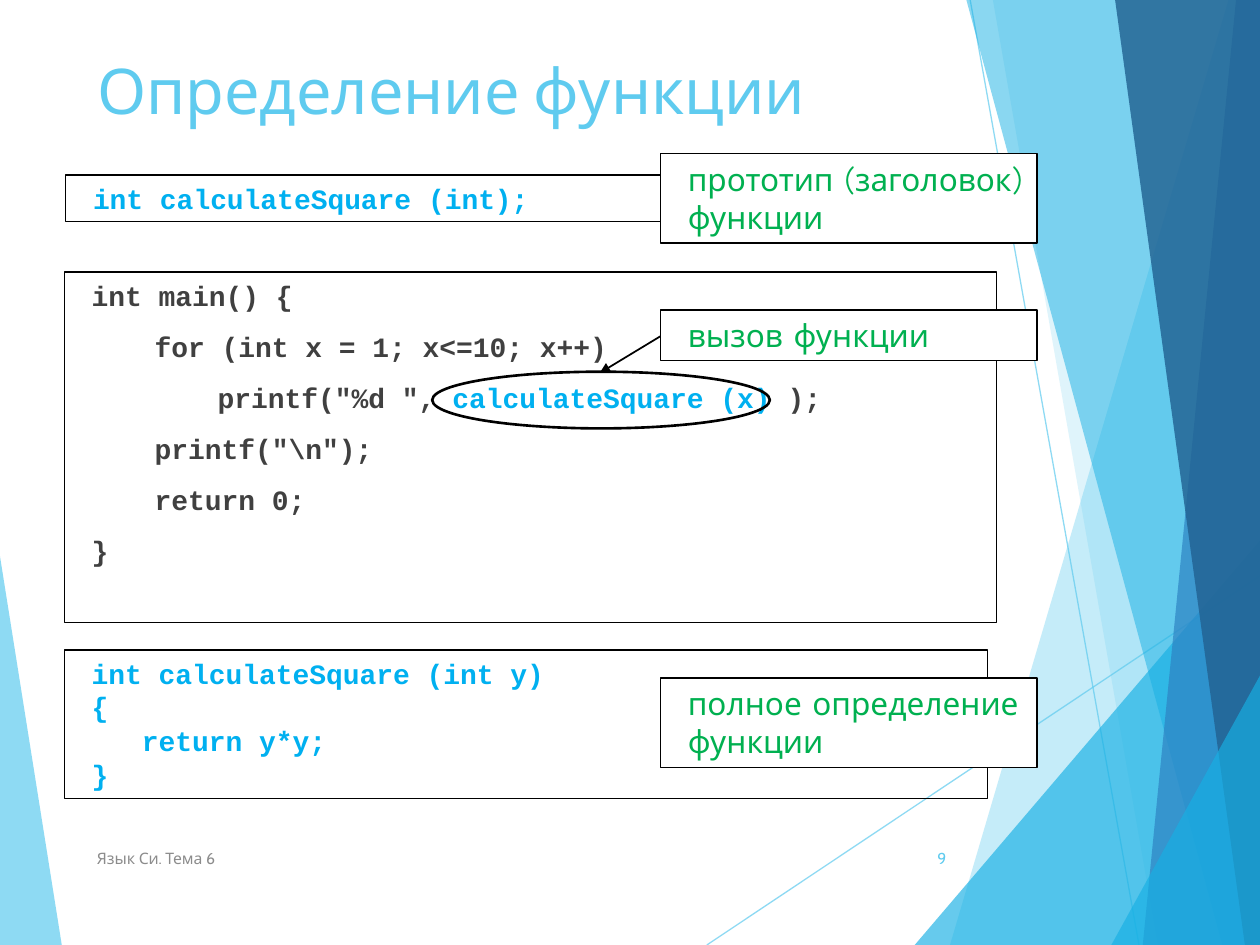
import pptx
import pptx.util
import pptx.dml.color
import pptx.enum.shapes
import pptx.enum.text
import pptx.oxml
import pptx.oxml.ns

Pt = pptx.util.Pt
RGB = pptx.dml.color.RGBColor.from_string
SHAPE = pptx.enum.shapes.MSO_SHAPE
LINE = pptx.enum.shapes.MSO_CONNECTOR.STRAIGHT
ANCHOR = pptx.enum.text.MSO_ANCHOR
ALIGN = pptx.enum.text.PP_ALIGN
qn = pptx.oxml.ns.qn

THEME = {
    "sky": "5FCBEF", "cyan": "17B0E4", "blue": "2E83C3", "navy": "226292",
    "black": "000000", "white": "FFFFFF", "code": "404040",
    "accent": "00B0F0", "note": "00B050", "footer": "8C8C8C",
    "title_font": "Cabin", "note_font": "Comic Neue", "code_font": "Courier New",
    "title_size": 36, "note_size": 18, "code_size": 16, "footer_size": 9,
}


def set_alpha(sp, percent):
    """Make the only solid colour of a shape partly transparent."""
    for clr in sp._element.spPr.iter(qn("a:srgbClr")):
        pptx.oxml.ns  # namespace helpers come from here
        clr.append(pptx.oxml.parse_xml(
            '<a:alpha xmlns:a="http://schemas.openxmlformats.org/drawingml/2006/main" '
            f'val="{percent * 1000}"/>'))


def write(tf, lines, kind, colour, bold=False, indent=0, before=0, align=ALIGN.LEFT):
    """Fill a frame; each line is (level, [(text, colour or None), ...])."""
    tf.word_wrap = True
    for i, (level, runs) in enumerate(lines):
        p = tf.add_paragraph() if i else tf.paragraphs[0]
        p.alignment = align
        p.space_before = Pt(before if i else 0)
        pPr = p._p.get_or_add_pPr()
        pPr.set("marL", str(Pt(indent + 36 * level)))
        pPr.set("indent", "0")
        for text, own in runs:
            r = p.add_run()
            r.text = text
            fmt = {"name": THEME[f"{kind}_font" if kind != "footer" else "title_font"],
                   "size": Pt(THEME[f"{kind}_size"]), "bold": bold}
            for key, value in fmt.items():
                setattr(r.font, key, value)
            r.font.color.rgb = RGB(THEME[own or colour])


prs = pptx.Presentation()
prs.slide_width, prs.slide_height = Pt(720), Pt(540)
s = prs.slides.add_slide(prs.slide_layouts[5])

# Background facets and the two thin lines
facets = [
    ("sky", 70, [(0, 318), (35.28, 540), (0, 540)]),
    ("sky", 36, [(702, 0), (542.88, 540), (720, 540), (720, 0)]),
    ("sky", 20, [(567.36, 0), (661.68, 540), (720, 540), (720, 0)]),
    ("cyan", 66, [(522.72, 540), (720, 308.88), (720, 540)]),
    ("cyan", 50, [(552.24, 0), (698.4, 540), (720, 540), (720, 0)]),
    ("blue", 70, [(706.32, 0), (653.04, 540), (720, 540), (720, 0)]),
    ("navy", 82, [(637.2, 0), (711.36, 540), (720, 540), (720, 0)]),
    ("cyan", 66, [(635.04, 540), (720, 386), (720, 540)]),
]
rays = [(403.92, 540, 720, 329), (554.4, 0, 650.88, 540)]
for i, (colour, alpha, points) in enumerate(facets):
    start, *rest = [(Pt(x), Pt(y)) for x, y in points]
    builder = s.shapes.build_freeform(*start)
    builder.add_line_segments(rest, close=True)
    sp = builder.convert_to_shape()
    sp.shadow.inherit = False
    sp.fill.solid()
    sp.fill.fore_color.rgb = RGB(THEME[colour])
    sp.line.fill.background()
    set_alpha(sp, alpha)
    if i == 0:
        for ray in rays:
            cxn = s.shapes.add_connector(LINE, *map(Pt, ray))
            cxn.line.color.rgb = RGB(THEME["sky"])
            cxn.line.width = Pt(0.75)
            set_alpha(cxn, 70)
            cxn._element.spPr.append(pptx.oxml.xmlchemy.OxmlElement("a:effectLst"))

# Title, raised above the background
title = s.shapes.title
s.shapes._spTree.append(title._element)
box = {"left": 48.24, "top": 25.92, "width": 499.68, "height": 103.68}
for key, value in box.items():
    setattr(title, key, Pt(value))
title.text_frame.vertical_anchor = ANCHOR.TOP
write(title.text_frame, [(0, [("Определение функции", None)])], "title", "sky")

# Footer and slide number
for text, x, w, colour, align in [
    ("Язык Си. Тема 6", 48.24, 364.32, "footer", ALIGN.LEFT),
    ("9", 507.6, 40.32, "sky", ALIGN.RIGHT),
]:
    sp = s.shapes.add_textbox(Pt(x), Pt(475.92), Pt(w), Pt(28.8))
    sp.text_frame.vertical_anchor = ANCHOR.MIDDLE
    write(sp.text_frame, [(0, [(text, None)])], "footer", colour, align=align)

# Code boxes, then the notes that lie over them
main_code = [
    (0, [("int main() {", None)]),
    (1, [("for (int x = 1; x<=10; x++)", None)]),
    (2, [('printf("%d ", ', None), ("calculateSquare (x)", "accent"), (" );", None)]),
    (1, [('printf("\\n");', None)]),
    (1, [("return 0;", None)]),
    (0, [("}", None)]),
]
prototype = [(0, [("int calculateSquare (int);", None)])]
definition = [(0, [(text, None)]) for text in
              ("int calculateSquare (int y)", "{", "   return y*y;", "}")]
panels = [
    ((36.72, 155.52, 532.8, 200.16), main_code, "code", "code", 10),
    ((37.44, 100.08, 532.8, 26.64), prototype, "code", "accent", 0),
    ((36.72, 371.52, 527.76, 84.96), definition, "code", "accent", 0),
]
for text, y, h in [
    ("прототип (заголовок) функции", 87.84, 51.12),
    ("вызов функции", 177.12, 28.8),
    ("полное определение функции", 387.36, 51.12),
]:
    panels.append(((377.28, y, 215.28, h), [(0, [(text, None)])], "note", "note", 0))

for frame, lines, kind, colour, before in panels:
    sp = s.shapes.add_shape(SHAPE.RECTANGLE, *map(Pt, frame))
    sp.shadow.inherit = False
    if kind == "note":
        sp.fill.solid()
        sp.fill.fore_color.rgb = RGB(THEME["white"])
    else:
        sp.fill.background()
    sp.line.color.rgb = RGB(THEME["black"])
    sp.line.width = Pt(0.75)
    sp.text_frame.vertical_anchor = ANCHOR.TOP
    write(sp.text_frame, lines, kind, colour, kind == "code", 8.64, before)

# Ring around the call, with an arrow from its note
cxn = s.shapes.add_connector(LINE, Pt(377.28), Pt(192.24), Pt(342.72), Pt(213.12))
cxn.line.color.rgb = RGB(THEME["black"])
cxn.line.width = Pt(1)
head = pptx.oxml.xmlchemy.OxmlElement("a:tailEnd")
head.set("type", "triangle")
cxn.line._get_or_add_ln().append(head)
cxn._element.spPr.append(pptx.oxml.xmlchemy.OxmlElement("a:effectLst"))

ring = s.shapes.add_shape(SHAPE.OVAL, Pt(246.96), Pt(212.4), Pt(192.96), Pt(32.4))
ring.shadow.inherit = False
ring.fill.background()
ring.line.color.rgb = RGB(THEME["black"])
ring.line.width = Pt(1.5)

prs.save("out.pptx")
